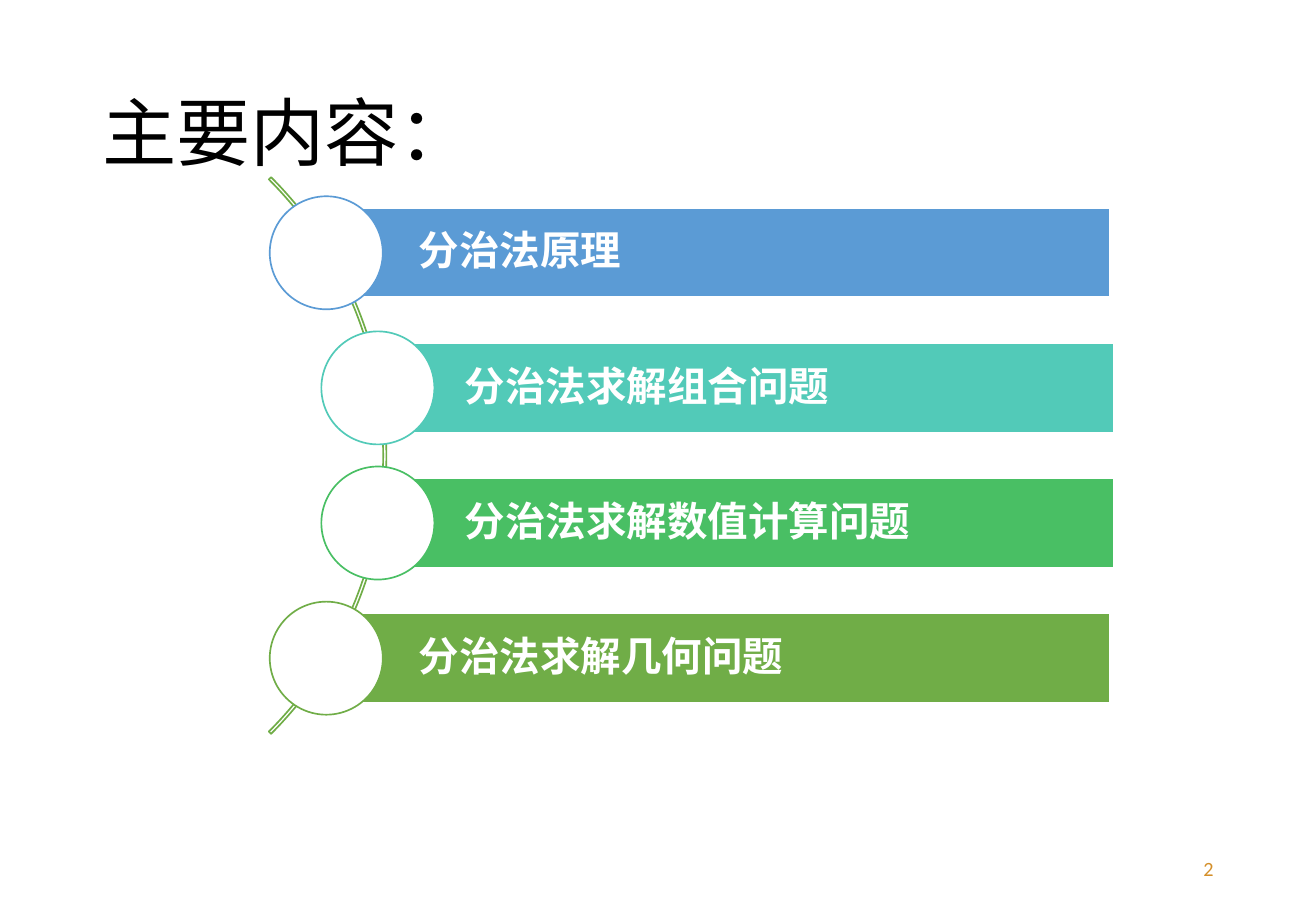
from dataclasses import dataclass

from lxml.etree import _Element
from pptx import Presentation
from pptx.dml.color import RGBColor
from pptx.enum.shapes import MSO_SHAPE
from pptx.enum.text import MSO_ANCHOR, MSO_AUTO_SIZE, PP_ALIGN
from pptx.shapes.autoshape import Shape
from pptx.slide import Slide
from pptx.text.text import TextFrame
from pptx.util import Pt

BLACK = RGBColor(0x00, 0x00, 0x00)
WHITE = RGBColor(0xFF, 0xFF, 0xFF)
GOLD = RGBColor(0xD4, 0x8F, 0x29)
BLUE = RGBColor(0x5B, 0x9B, 0xD5)
TEAL = RGBColor(0x52, 0xCA, 0xB8)
MINT = RGBColor(0x49, 0xBF, 0x64)
GREEN = RGBColor(0x70, 0xAD, 0x47)

MID = 270  # vertical centre of the list
STEP = 80.1  # distance between topics
BAR = 53.3  # bar height
DOT = 67  # circle diameter
ARC = 466.6  # arc diameter
ARC_X = -237.6


@dataclass
class Topic:
    text: str
    color: RGBColor
    dot_x: float
    bar_x: float
    width: float


OUTER = (159.9, 205.9, 452.2)
INNER = (190.5, 233.3, 427)
TOPICS = [
    Topic("分治法原理", BLUE, *OUTER),
    Topic("分治法求解组合问题", TEAL, *INNER),
    Topic("分治法求解数值计算问题", MINT, *INNER),
    Topic("分治法求解几何问题", GREEN, *OUTER),
]


def apply(target: object, values: dict) -> None:
    for name, value in values.items():
        setattr(target, name, value)


def write(frame: TextFrame, text: str, size: float, color: RGBColor,
          bold: bool = False, align: PP_ALIGN = PP_ALIGN.LEFT,
          space: float = 1.0) -> None:
    apply(frame, {"word_wrap": True, "auto_size": MSO_AUTO_SIZE.NONE,
                  "vertical_anchor": MSO_ANCHOR.MIDDLE})
    para = frame.paragraphs[0]
    apply(para, {"alignment": align, "line_spacing": space})
    run = para.add_run()
    run.text = text
    apply(run.font, {"name": "Calibri", "size": Pt(size), "bold": bold})
    run.font.color.rgb = color


def draw(slide: Slide, kind: MSO_SHAPE, box: tuple[float, ...],
         fill: RGBColor | None, line: RGBColor, weight: float) -> Shape:
    shape = slide.shapes.add_shape(kind, *map(Pt, box))
    shape.shadow.inherit = False
    if fill is None:
        shape.fill.background()
    else:
        shape.fill.solid()
        shape.fill.fore_color.rgb = fill
    shape.line.color.rgb = line
    shape.line.width = Pt(weight)
    return shape


def add_topic(slide: Slide, topic: Topic, mid: float) -> None:
    bar = draw(slide, MSO_SHAPE.RECTANGLE,
               (topic.bar_x, mid - BAR / 2, topic.width, BAR),
               topic.color, WHITE, 1.5)
    apply(bar.text_frame, {"margin_left": Pt(42.3), "margin_top": Pt(5),
                           "margin_right": Pt(5), "margin_bottom": Pt(5)})
    write(bar.text_frame, topic.text, 24, WHITE, bold=True, space=0.9)
    draw(slide, MSO_SHAPE.OVAL, (topic.dot_x, mid - DOT / 2, DOT, DOT),
         WHITE, topic.color, 1)


def main() -> None:
    deck = Presentation()
    apply(deck, {"slide_width": Pt(780), "slide_height": Pt(540)})
    slide = deck.slides.add_slide(deck.slide_layouts[5])

    # Title
    title = slide.shapes.title
    apply(title, {"left": Pt(53.3), "top": Pt(28.8),
                  "width": Pt(672.5), "height": Pt(104.4)})
    write(title.text_frame, "主要内容：", 44, BLACK, space=0.9)

    # Page number
    page = slide.shapes.add_textbox(Pt(550.8), Pt(500.4), Pt(175.7), Pt(28.8))
    write(page.text_frame, "2", 12, GOLD, align=PP_ALIGN.RIGHT)

    # Arc behind the topics, from 315 to 45 degrees
    arc = draw(slide, MSO_SHAPE.BLOCK_ARC, (ARC_X, MID - ARC / 2, ARC, ARC),
               None, GREEN, 1)
    for index, value in enumerate((189, 27, 0.004)):
        arc.adjustments[index] = value

    # Topics, spread evenly about the centre
    for index, topic in enumerate(TOPICS):
        add_topic(slide, topic, MID + STEP * (index - (len(TOPICS) - 1) / 2))

    deck.save("out.pptx")


if __name__ == "__main__":
    main()
